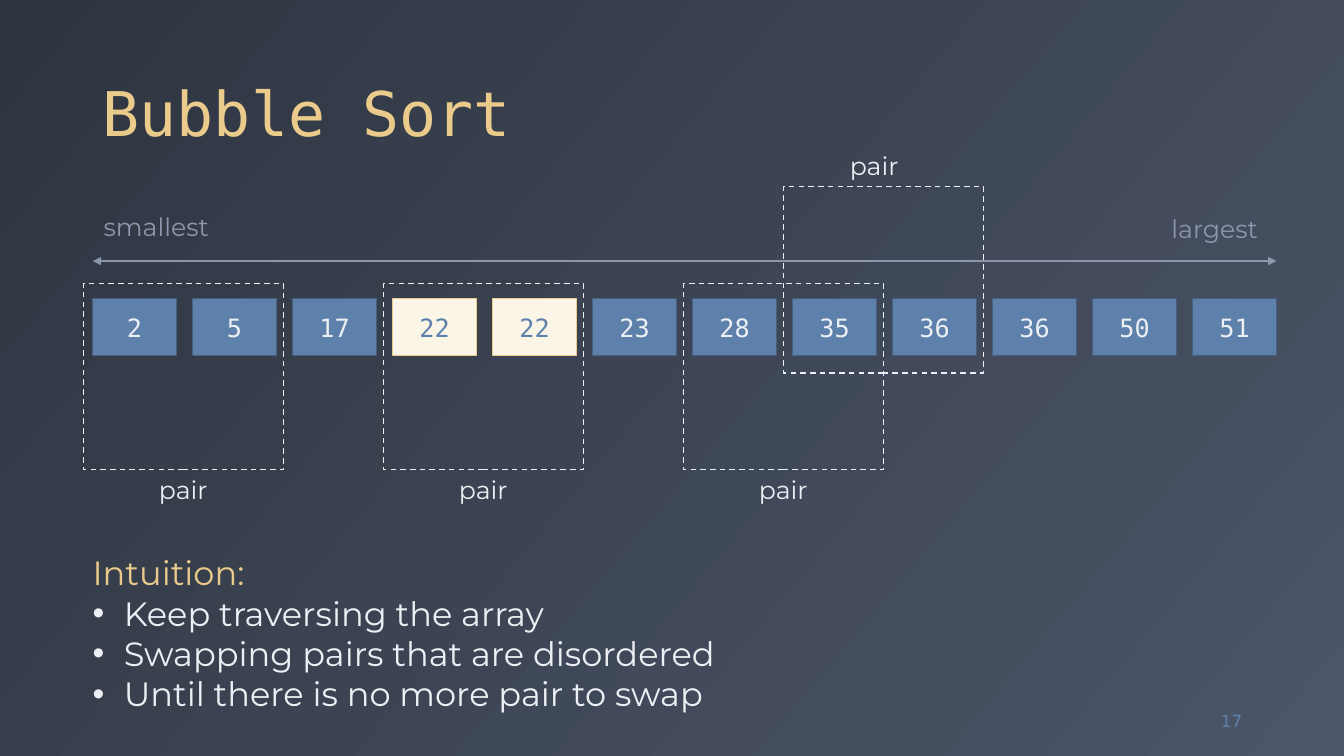
from dataclasses import dataclass

from lxml.etree import SubElement
from pptx import Presentation
from pptx.dml.color import RGBColor
from pptx.enum.dml import MSO_LINE
from pptx.enum.shapes import MSO_CONNECTOR, MSO_SHAPE
from pptx.enum.text import MSO_ANCHOR, MSO_AUTO_SIZE, PP_ALIGN
from pptx.oxml.ns import qn
from pptx.shapes.autoshape import Shape
from pptx.shapes.shapetree import GroupShapes, SlideShapes
from pptx.slide import Slide
from pptx.text.text import TextFrame
from pptx.util import Inches, Pt

WIDTH, HEIGHT = 13.33, 7.5
MONO, SANS, BODY = "DejaVu Sans Mono", "DejaVu Sans", "Montserrat"
GOLD, BLUE, WHITE, GREY = "EBCB8B", "5E81AC", "ECEFF3", "8C97AC"
NAVY, CREAM = "465F7F", "FBF5E8"

VALUES = [2, 5, 17, 22, 22, 23, 28, 35, 36, 36, 50, 51]
HIGHLIGHTED = {3, 4}
ARRAY_LEFT, ARRAY_RIGHT, ARRAY_TOP = 0.92, 12.66, 2.96
CELL_WIDTH, CELL_HEIGHT = 0.83, 0.57
COLUMN = (ARRAY_RIGHT - ARRAY_LEFT - CELL_WIDTH) / (len(VALUES) - 1)
AXIS_TOP = 2.59
FRAME_HEIGHT, FRAME_MARGIN = 1.85, 0.09
LABEL_WIDTH, LABEL_HEIGHT = 0.69, 0.4


@dataclass(frozen=True)
class Box:
    left: float
    top: float
    width: float
    height: float

    def emu(self) -> tuple[int, ...]:
        return tuple(Inches(n) for n in (self.left, self.top, self.width, self.height))


@dataclass(frozen=True)
class Pair:
    first_column: int
    top: float = 2.81
    label_top: float = 4.66
    label_shift: float = 0.0


PAIRS = [Pair(3), Pair(6), Pair(0), Pair(7, 1.85, 1.44, -0.09)]


def color(value: str) -> RGBColor:
    return RGBColor.from_string(value)


def column_left(index: int) -> float:
    return ARRAY_LEFT + index * COLUMN


def write(frame: TextFrame, text: str, *, font: str = BODY, size: float = 18,
          ink: str = WHITE, align: PP_ALIGN = PP_ALIGN.LEFT,
          spacing: float | None = None, bullet: bool = False, added: bool = False) -> None:
    paragraph = frame.add_paragraph() if added else frame.paragraphs[0]
    paragraph.alignment = align
    if spacing:
        paragraph.line_spacing = spacing
    if bullet:
        properties = paragraph._p.get_or_add_pPr()
        properties.set("marL", str(Inches(0.31)))
        properties.set("indent", str(-Inches(0.31)))
        SubElement(properties, qn("a:buFont"), typeface="Arial")
        SubElement(properties, qn("a:buChar"), char="•")
    run = paragraph.add_run()
    run.text = text
    run.font.name = font
    run.font.size = Pt(size)
    run.font.color.rgb = color(ink)


def add_text_box(shapes: SlideShapes | GroupShapes, box: Box, *, wrap: bool = False,
                 anchor: MSO_ANCHOR = MSO_ANCHOR.TOP) -> TextFrame:
    frame = shapes.add_textbox(*box.emu()).text_frame
    frame.word_wrap = wrap
    frame.auto_size = MSO_AUTO_SIZE.NONE if wrap else MSO_AUTO_SIZE.SHAPE_TO_FIT_TEXT
    frame.vertical_anchor = anchor
    return frame


def add_rectangle(shapes: SlideShapes | GroupShapes, box: Box, outline: str,
                  fill: str | None = None) -> Shape:
    shape = shapes.add_shape(MSO_SHAPE.RECTANGLE, *box.emu())
    shape.shadow.inherit = False
    if fill:
        shape.fill.solid()
        shape.fill.fore_color.rgb = color(fill)
    else:
        shape.fill.background()
    shape.line.color.rgb = color(outline)
    shape.line.width = Pt(1)
    return shape


def add_cell(slide: Slide, index: int, value: int) -> None:
    fill, outline, ink = (CREAM, GOLD, BLUE) if index in HIGHLIGHTED else (BLUE, NAVY, WHITE)
    box = Box(column_left(index), ARRAY_TOP, CELL_WIDTH, CELL_HEIGHT)
    shape = add_rectangle(slide.shapes, box, outline, fill)
    shape.text_frame.vertical_anchor = MSO_ANCHOR.MIDDLE
    write(shape.text_frame, str(value), font=MONO, ink=ink, align=PP_ALIGN.CENTER)


def add_pair(slide: Slide, pair: Pair) -> None:
    shapes = slide.shapes.add_group_shape().shapes
    left = column_left(pair.first_column) - FRAME_MARGIN
    frame = add_rectangle(shapes, Box(left, pair.top, 2 * COLUMN, FRAME_HEIGHT), WHITE)
    frame.line.dash_style = MSO_LINE.DASH
    label_left = left + COLUMN - LABEL_WIDTH / 2 + pair.label_shift
    label = add_text_box(shapes, Box(label_left, pair.label_top, LABEL_WIDTH, LABEL_HEIGHT))
    write(label, "pair")


def add_axis(slide: Slide) -> None:
    axis = slide.shapes.add_connector(
        MSO_CONNECTOR.STRAIGHT, Inches(ARRAY_LEFT), Inches(AXIS_TOP),
        Inches(ARRAY_RIGHT), Inches(AXIS_TOP))
    axis.line.color.rgb = color(GREY)
    axis.line.width = Pt(1.5)
    line = axis.line._get_or_add_ln()
    for end in ("a:headEnd", "a:tailEnd"):
        SubElement(line, qn(end), type="triangle")
    SubElement(axis._element.spPr, qn("a:effectLst"))
    write(add_text_box(slide.shapes, Box(11.52, 2.07, 1.07, LABEL_HEIGHT)), "largest", ink=GREY)
    write(add_text_box(slide.shapes, Box(0.93, 2.05, 1.25, LABEL_HEIGHT)), "smallest", ink=GREY)


def add_intuition(slide: Slide) -> None:
    frame = add_text_box(slide.shapes, Box(0.82, 5.43, 6.58, 1.72))
    write(frame, "Intuition:", size=24, ink=GOLD)
    for step in ("Keep traversing the array",
                 "Swapping pairs that are disordered",
                 "Until there is no more pair to swap"):
        write(frame, step, size=24, bullet=True, added=True)


def paint_background(slide: Slide) -> None:
    fill = slide.background.fill
    fill.gradient()
    fill.gradient_angle = 320
    for stop, position, shade in zip(fill.gradient_stops, (0, 1), ("2E3440", "4C5669")):
        stop.position = position
        stop.color.rgb = color(shade)


def main() -> None:
    presentation = Presentation()
    presentation.slide_width = Inches(WIDTH)
    presentation.slide_height = Inches(HEIGHT)
    slide = presentation.slides.add_slide(presentation.slide_layouts[6])
    paint_background(slide)

    title = add_text_box(slide.shapes, Box(0.92, 0.18, 11.5, 1.36),
                         wrap=True, anchor=MSO_ANCHOR.BOTTOM)
    write(title, "Bubble Sort", font=MONO, size=44, ink=GOLD, spacing=0.9)
    number = add_text_box(slide.shapes, Box(11.59, 6.95, 0.83, 0.4),
                          wrap=True, anchor=MSO_ANCHOR.MIDDLE)
    write(number, "17", font=SANS, size=12, ink=BLUE, align=PP_ALIGN.RIGHT)

    for index, value in enumerate(VALUES):
        add_cell(slide, index, value)
    add_axis(slide)
    for pair in PAIRS:
        add_pair(slide, pair)
    add_intuition(slide)
    presentation.save("out.pptx")


if __name__ == "__main__":
    main()
